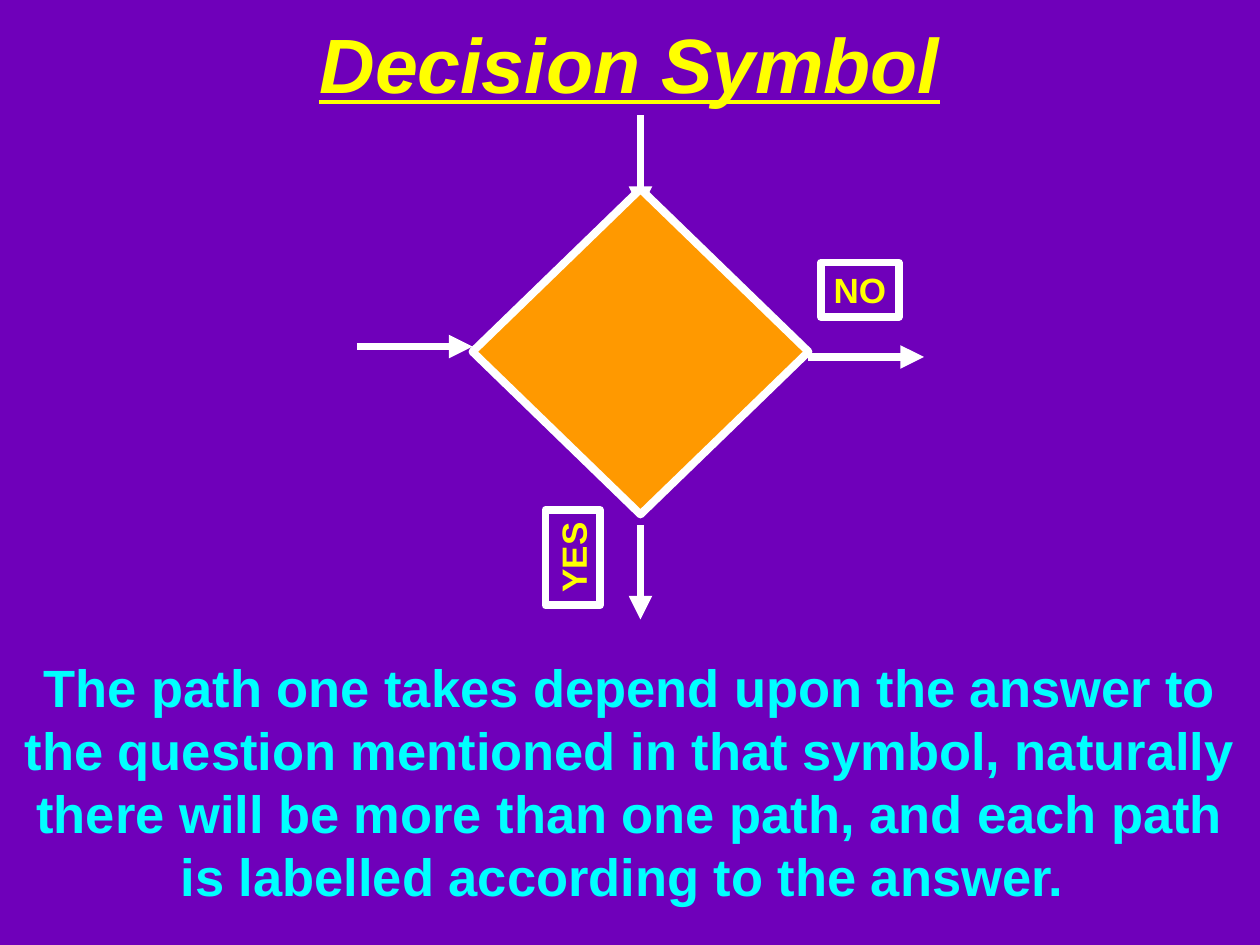
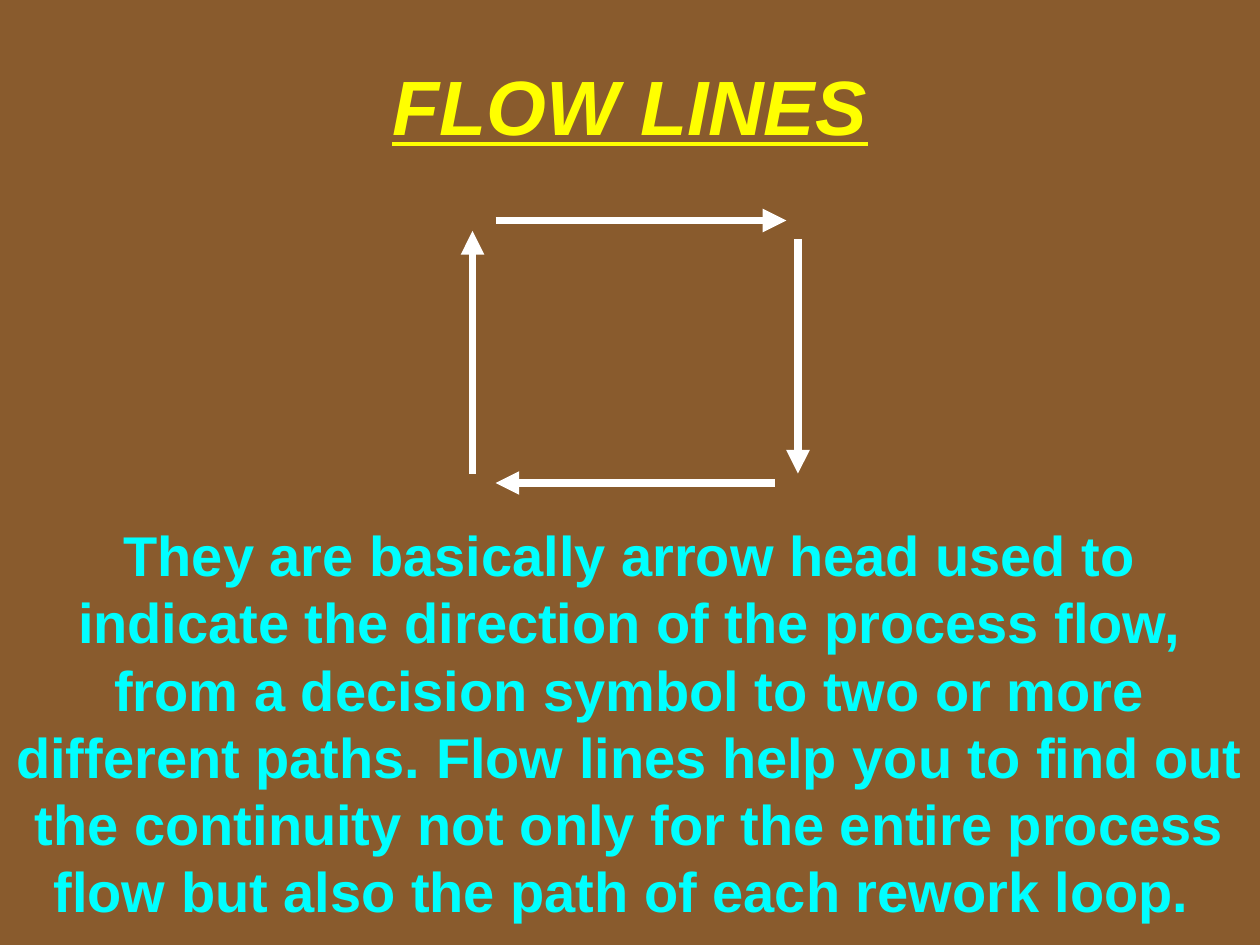
"""Build two flowchart slides: the decision symbol and flow lines."""
from dataclasses import dataclass

from lxml import etree
from pptx import Presentation
from pptx.dml.color import RGBColor
from pptx.enum.shapes import MSO_CONNECTOR, MSO_SHAPE
from pptx.enum.text import MSO_ANCHOR, MSO_AUTO_SIZE, PP_ALIGN
from pptx.oxml.ns import qn
from pptx.util import Inches, Pt

STRAIGHT = MSO_CONNECTOR.STRAIGHT
DIAMOND = MSO_SHAPE.DIAMOND
RECTANGLE = MSO_SHAPE.RECTANGLE
TOP = MSO_ANCHOR.TOP
MIDDLE = MSO_ANCHOR.MIDDLE
CENTER = PP_ALIGN.CENTER
NO_FIT = MSO_AUTO_SIZE.NONE

COLUMNS, ROWS = 120, 90
TITLE_ONLY = 5


@dataclass(frozen=True)
class Theme:
    font: str = "Arial"
    decision_page: str = "6F00BA"
    flow_page: str = "895B2D"
    heading: str = "FFFF00"
    body: str = "00FFFF"
    line: str = "FFFFFF"
    diamond: str = "FF9900"
    title_size: int = 44
    label_size: int = 20
    line_weight: float = 4.5
    leading: float = 1.2


class FlowchartDeck:
    def __init__(self, theme):
        self.theme = theme
        self.deck = Presentation()
        self.deck.slide_width = Inches(10)
        self.deck.slide_height = Inches(7.5)
        self.page = None

    def across(self, columns):
        return round(self.deck.slide_width * columns / COLUMNS)

    def down(self, rows):
        return round(self.deck.slide_height * rows / ROWS)

    def area(self, column, row, columns, rows):
        return self.across(column), self.down(row), self.across(columns), self.down(rows)

    def start_page(self, background):
        self.page = self.deck.slides.add_slide(self.deck.slide_layouts[TITLE_ONLY])
        fill = self.page.background.fill
        fill.solid()
        fill.fore_color.rgb = RGBColor.from_string(background)

    def set_text(self, box, text, size, color, anchor=TOP, wrap=True):
        frame = box.text_frame
        frame.text = text
        frame.word_wrap = wrap
        frame.auto_size = NO_FIT
        frame.vertical_anchor = anchor
        para = frame.paragraphs[0]
        para.alignment = CENTER
        para.space_before = Pt(0)
        para.line_spacing = Pt(size * self.theme.leading)
        font = para.runs[0].font
        font.name = self.theme.font
        font.size = Pt(size)
        font.bold = True
        font.color.rgb = RGBColor.from_string(color)
        return font

    def title(self, text, row):
        box = self.page.shapes.title
        box.left, box.top, box.width, box.height = self.area(0, row, COLUMNS, 10)
        font = self.set_text(box, text, self.theme.title_size, self.theme.heading)
        font.italic = True
        font.underline = True

    def body(self, text, row, rows, size):
        box = self.page.shapes.add_textbox(*self.area(0, row, COLUMNS, rows))
        self.set_text(box, text, size, self.theme.body)

    def outline(self, line):
        line.color.rgb = RGBColor.from_string(self.theme.line)
        line.width = Pt(self.theme.line_weight)

    def arrow(self, start_column, start_row, end_column, end_row):
        arrow = self.page.shapes.add_connector(
            STRAIGHT, self.across(start_column), self.down(start_row),
            self.across(end_column), self.down(end_row))
        self.outline(arrow.line)
        properties = arrow.element.spPr
        etree.SubElement(properties.find(qn("a:ln")), qn("a:tailEnd"), type="triangle")
        etree.SubElement(properties, qn("a:effectLst"))

    def shape(self, kind, column, row, columns, rows, fill=None):
        shape = self.page.shapes.add_shape(kind, *self.area(column, row, columns, rows))
        shape.shadow.inherit = False
        self.outline(shape.line)
        if fill:
            shape.fill.solid()
            shape.fill.fore_color.rgb = RGBColor.from_string(fill)
        else:
            shape.fill.background()
        return shape

    def label(self, text, column, row, columns, rotation=0):
        box = self.shape(RECTANGLE, column, row, columns, 5.2)
        box.rotation = rotation
        self.set_text(box, text, self.theme.label_size, self.theme.heading, MIDDLE, False)


def build_decision_page(deck):
    deck.start_page(deck.theme.decision_page)
    deck.title("Decision Symbol", 1)
    deck.body("The path one takes depend upon the answer to the question mentioned in that "
              "symbol, naturally there will be more than one path, and each path is labelled "
              "according to the answer. ", 61.8, 25.6, 30)
    deck.arrow(61, 11, 61, 20)
    deck.shape(DIAMOND, 45, 18, 32, 31, deck.theme.diamond)
    deck.arrow(77, 34, 88, 34)
    deck.arrow(61, 50, 61, 59)
    deck.arrow(34, 33, 45, 33)
    deck.label("YES", 50, 50.5, 9.1, 270)
    deck.label("NO", 78.2, 25, 7.4)


def build_flow_page(deck):
    deck.start_page(deck.theme.flow_page)
    deck.title("FLOW LINES", 5)
    deck.body("They are basically arrow head used to indicate the direction of the process "
              "flow, from a decision symbol to two or more different paths. Flow lines help "
              "you to find out the continuity not only for the entire process flow but also "
              "the path of each rework loop. ", 49, 39.6, 32)
    for ends in ((47.2, 21, 74.9, 21), (76, 22.8, 76, 45.1),
                 (73.8, 46, 47.2, 46), (45, 45.1, 45, 22)):
        deck.arrow(*ends)


def main():
    flowchart = FlowchartDeck(Theme())
    build_decision_page(flowchart)
    build_flow_page(flowchart)
    flowchart.deck.save("out.pptx")


if __name__ == "__main__":
    main()
